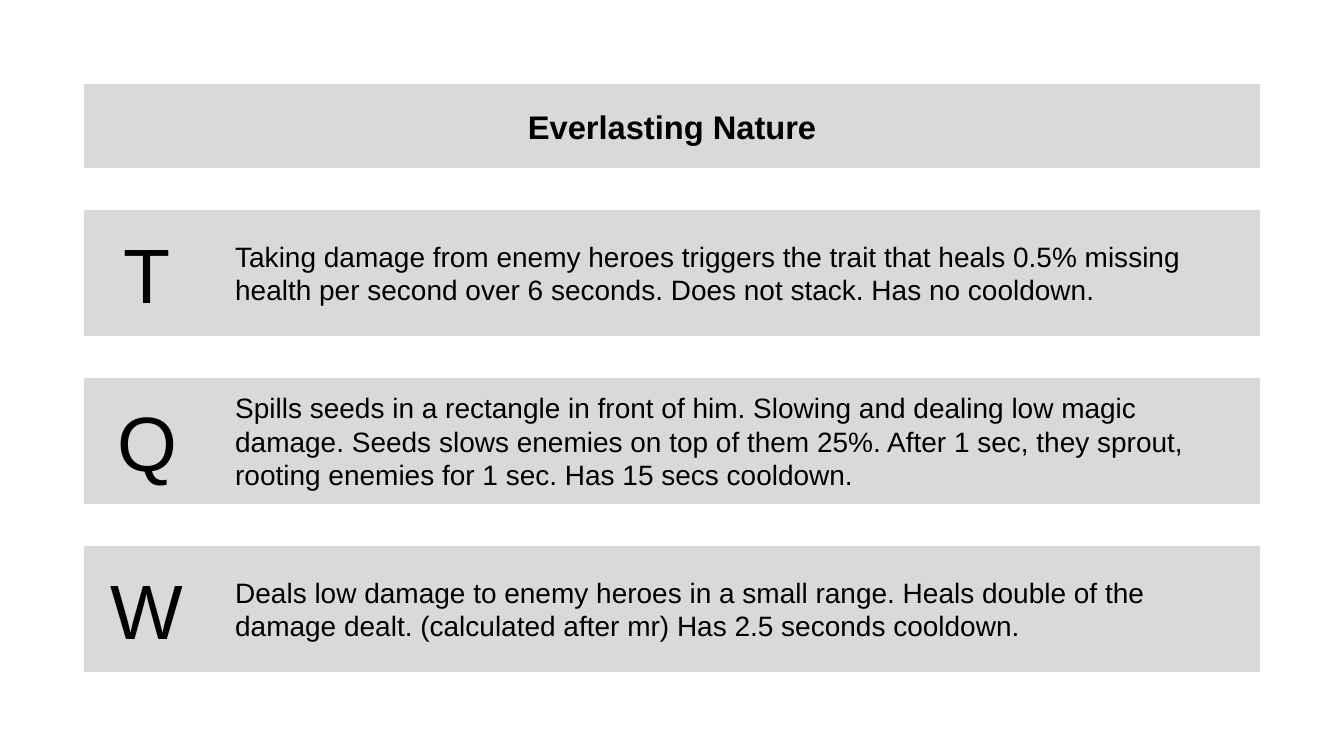
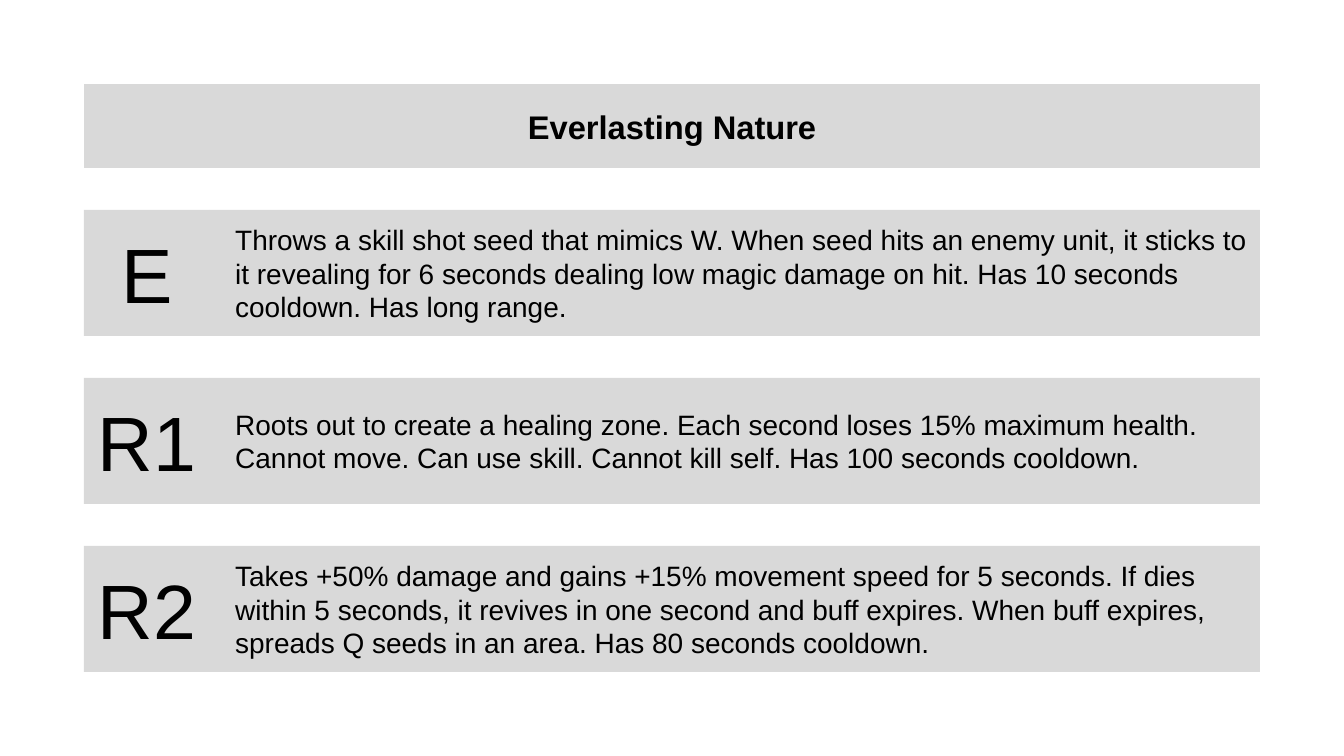
from pptx import Presentation
from pptx.dml.color import RGBColor
from pptx.enum.shapes import MSO_SHAPE
from pptx.enum.text import MSO_ANCHOR, MSO_AUTO_SIZE, PP_ALIGN
from pptx.util import Inches, Pt

RECTANGLE = MSO_SHAPE.RECTANGLE
MIDDLE = MSO_ANCHOR.MIDDLE
NO_AUTOFIT = MSO_AUTO_SIZE.NONE
LEFT, CENTER = PP_ALIGN.LEFT, PP_ALIGN.CENTER

FONT = "Arial"
INK = "000000"
PANEL = "D9D9D9"
TITLE_ONLY = 5

MARGIN = 1
CONTENT_WIDTH = 14
TITLE_HEIGHT = 1
FIRST_ROW_TOP = 2.5
ROW_HEIGHT = 1.5
ROW_STEP = 2
KEY_WIDTH = 1.5
TEXT_INSET = 0.3

HERO_TITLE = "Everlasting Nature"
SKILL_PAGES = [
    [
        ("T", "Taking damage from enemy heroes triggers the trait that heals 0.5% missing "
              "health per second over 6 seconds. Does not stack. Has no cooldown."),
        ("Q", "Spills seeds in a rectangle in front of him. Slowing and dealing low magic "
              "damage. Seeds slows enemies on top of them 25%. After 1 sec, they sprout, "
              "rooting enemies for 1 sec. Has 15 secs cooldown."),
        ("W", "Deals low damage to enemy heroes in a small range. Heals double of the "
              "damage dealt. (calculated after mr) Has 2.5 seconds cooldown."),
    ],
    [
        ("E", "Throws a skill shot seed that mimics W. When seed hits an enemy unit, it "
              "sticks to it revealing for 6 seconds dealing low magic damage on hit. "
              "Has 10 seconds cooldown. Has long range."),
        ("R1", "Roots out to create a healing zone. Each second loses 15% maximum health. "
               "Cannot move. Can use skill. Cannot kill self. Has 100 seconds cooldown."),
        ("R2", "Takes +50% damage and gains +15% movement speed for 5 seconds. If dies "
               "within 5 seconds, it revives in one second and buff expires. When buff "
               "expires, spreads Q seeds in an area. Has 80 seconds cooldown."),
    ],
]


def color(hex_string):
    """Turn a hex string into a colour."""
    return RGBColor.from_string(hex_string)


def fill_panel(box, text, size, align=CENTER, bold=False):
    """Give a box the grey panel look and its text."""
    box.fill.solid()
    box.fill.fore_color.rgb = color(PANEL)
    box.line.fill.background()
    frame = box.text_frame
    frame.text = text
    frame.word_wrap = True
    frame.auto_size = NO_AUTOFIT
    frame.vertical_anchor = MIDDLE
    para = frame.paragraphs[0]
    para.alignment = align
    for span in para.runs:
        span.font.name = FONT
        span.font.size = Pt(size)
        span.font.bold = bold
        span.font.color.rgb = color(INK)


def add_title(page, text):
    """Place the slide title in a panel across the top."""
    title = page.shapes.title
    title.left, title.top = Inches(MARGIN), Inches(MARGIN)
    title.width, title.height = Inches(CONTENT_WIDTH), Inches(TITLE_HEIGHT)
    fill_panel(title, text, 28, bold=True)


def add_panel(page, left, top, width, text, size, align=CENTER):
    """Add a row-high rectangle with text."""
    box = page.shapes.add_shape(
        RECTANGLE, Inches(left), Inches(top), Inches(width), Inches(ROW_HEIGHT))
    box.shadow.inherit = False
    fill_panel(box, text, size, align)
    return box


def add_skill(page, row, key, description):
    """Add one skill row: its description and its key."""
    top = FIRST_ROW_TOP + row * ROW_STEP
    description_box = add_panel(page, MARGIN + KEY_WIDTH, top,
                                CONTENT_WIDTH - KEY_WIDTH, description, 24, LEFT)
    description_box.text_frame.margin_left = Inches(TEXT_INSET)
    add_panel(page, MARGIN, top, KEY_WIDTH, key, 66)


def main():
    """Build the skill slides and save the deck."""
    deck = Presentation()
    deck.slide_width, deck.slide_height = Inches(16), Inches(9)
    for skills in SKILL_PAGES:
        page = deck.slides.add_slide(deck.slide_layouts[TITLE_ONLY])
        add_title(page, HERO_TITLE)
        for row, (key, description) in enumerate(skills):
            add_skill(page, row, key, description)
    deck.save("out.pptx")


main()
